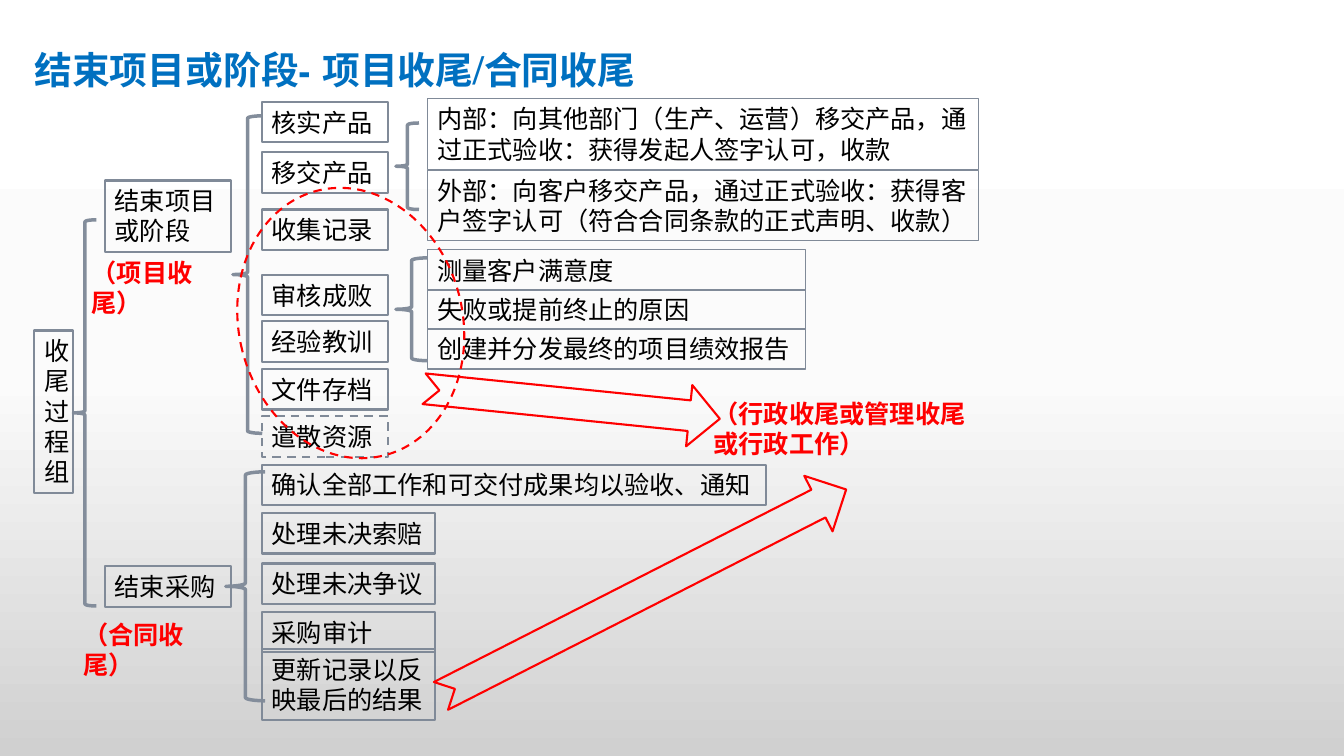
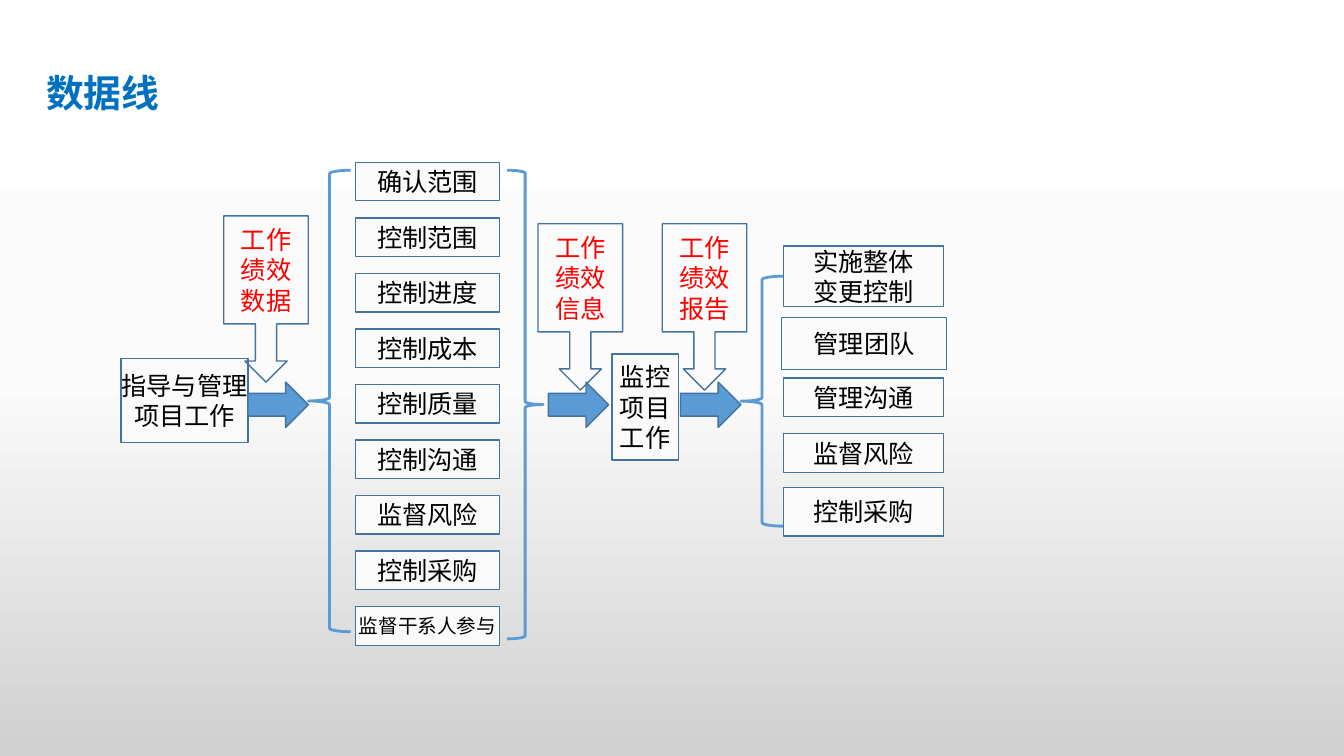
import copy

import pptx
import pptx.dml.color
import pptx.enum.dml
import pptx.enum.shapes
import pptx.enum.text
import pptx.oxml
import pptx.oxml.ns
import pptx.util

Cm = pptx.util.Cm
Pt = pptx.util.Pt
RGBColor = pptx.dml.color.RGBColor
SHAPE = pptx.enum.shapes.MSO_SHAPE
ALIGN = pptx.enum.text.PP_ALIGN
ANCHOR = pptx.enum.text.MSO_ANCHOR
GROW = pptx.enum.text.MSO_AUTO_SIZE.SHAPE_TO_FIT_TEXT
DASH = pptx.enum.dml.MSO_LINE.DASH

BLACK = RGBColor(0x00, 0x00, 0x00)
RED = RGBColor(0xFF, 0x00, 0x00)
TITLE_BLUE = RGBColor(0x00, 0x70, 0xC0)
BOX_GREY = RGBColor(0x80, 0x8A, 0x98)
BRACE_GREY = RGBColor(0x83, 0x8D, 0x9B)
FLOW_BLUE = RGBColor(0x5B, 0x9B, 0xD5)
EDGE_BLUE = RGBColor(0x43, 0x73, 0x9E)
PALE = RGBColor(0xFA, 0xFA, 0xFA)
BACKGROUND_STOPS = [
    (0, RGBColor(0xFF, 0xFF, 0xFF)),
    (0.5, RGBColor(0xFB, 0xFB, 0xFB)),
    (1, RGBColor(0xD0, 0xD0, 0xD0)),
]

TITLE_FONT = "TeX Gyre Schola"
CHINESE_FONT = "Noto Sans CJK SC"
FLOW_FONT = "Cabin"

# All places are (left, top, width, height) in centimetres.
CLOSING_TITLE = "结束项目或阶段- 项目收尾/合同收尾"
CLOSING_BRACES = [
    (1.85, 5.54, 0.58, 9.73),
    (5.87, 2.92, 0.74, 8),
    (9.98, 3.1, 0.58, 2.18),
    (9.98, 6.5, 0.79, 2.59),
    (5.69, 11.89, 0.99, 5.77),
]
GROUP_BOXES = [
    ("收尾过程组", (0.86, 8.33, 0.99, 4.09)),
    ("结束项目或阶段", (2.64, 4.55, 3.18, 1.8)),
    ("结束采购", (2.64, 14.27, 3.18, 1.02)),
]
STEP_LEFT, LINE_HEIGHT, TWO_LINE_HEIGHT = 6.6, 1.02, 1.78
PROJECT_STEPS = [
    ("核实产品", 2.57),
    ("移交产品", 3.84),
    ("收集记录", 5.28),
    ("审核成败", 6.93),
    ("经验教训", 8.1),
    ("文件存档", 9.3),
    ("遣散资源", 10.49),
]
OPTIONAL_STEP = "遣散资源"
PROCUREMENT_STEPS = [
    ("确认全部工作和可交付成果均以验收、通知", 11.71, 12.7, LINE_HEIGHT),
    ("处理未决索赔", 12.93, 4.37, LINE_HEIGHT),
    ("处理未决争议", 14.2, 4.37, LINE_HEIGHT),
    ("采购审计", 15.42, 4.37, LINE_HEIGHT),
    ("更新记录以反映最后的结果", 16.36, 4.37, TWO_LINE_HEIGHT),
]
DETAIL_LEFT = 10.77
HANDOVERS = [
    "内部：向其他部门（生产、运营）移交产品，通过正式验收：获得发起人签字认可，收款",
    "外部：向客户移交产品，通过正式验收：获得客户签字认可（符合合同条款的正式声明、收款）",
]
REVIEWS = ["测量客户满意度", "失败或提前终止的原因", "创建并分发最终的项目绩效报告"]
# texts, first top, step, width, height
DETAIL_LISTS = [
    (HANDOVERS, 2.49, 1.8, 13.89, TWO_LINE_HEIGHT),
    (REVIEWS, 6.3, 0.99, 9.53, LINE_HEIGHT),
]
NOTES = [
    ("（项目收尾）", (2.06, 6.35, 3.76, 1.02)),
    ("（合同收尾）", (1.85, 15.47, 3.78, 1.02)),
    ("（行政收尾或管理收尾或行政工作）", (17.73, 9.91, 6.93, 1.8)),
]
# preset, place, rotation, dash
RED_MARKS = [
    (SHAPE.NOTCHED_RIGHT_ARROW, (10.67, 9.4, 7.49, 1.55), 5.8, None),
    (SHAPE.NOTCHED_RIGHT_ARROW, (10.49, 14.15, 11.46, 1.57), 333, None),
    (SHAPE.OVAL, (6.02, 4.7, 5.64, 6.88), 345.9, DASH),
]

DATA_TITLE = "数据线"
CONTROLS = [
    "确认范围", "控制范围", "控制进度", "控制成本", "控制质量",
    "控制沟通", "监督风险", "控制采购", "监督干系人参与",
]
CONTROL_LEFT, CONTROL_TOP, CONTROL_STEP = 8.96, 4.09, 1.4
CONTROL_WIDTH, CONTROL_HEIGHT = 3.63, 0.97
PROCESS_BOXES = [
    ("指导与管理项目工作", (3.05, 9.04, 3.2, 2.11)),
    ("监控项目工作", (15.42, 8.92, 1.68, 2.67)),
    ("实施整体\n变更控制", (19.74, 6.2, 4.04, 1.52)),
    ("管理团队", (19.69, 8, 4.17, 1.32)),
    ("管理沟通", (19.74, 9.53, 4.04, 0.97)),
    ("监督风险", (19.74, 10.92, 4.04, 0.99)),
    ("控制采购", (19.74, 12.29, 4.04, 1.22)),
]
FLOW_BRACES = [
    (SHAPE.LEFT_BRACE, (7.77, 4.29, 1.07, 11.63)),
    (SHAPE.RIGHT_BRACE, (12.78, 4.29, 0.91, 11.81)),
    (SHAPE.LEFT_BRACE, (18.67, 6.96, 1.07, 6.3)),
]
# callout text, callout left, callout top, arrow left
DATA_FLOWS = [
    ("工作绩效数据", 5.64, 5.44, 6.25),
    ("工作绩效信息", 13.56, 5.64, 13.82),
    ("工作绩效报告", 16.69, 5.64, 17.15),
]
ARROW_TOP, ARROW_WIDTH, ARROW_HEIGHT = 9.63, 1.52, 1.14
CALLOUT_WIDTH, CALLOUT_HEIGHT = 2.13, 4.19


def lengths(place):
    return [Cm(value) for value in place]


def write(text_frame, text, font_name, size=18, color=BLACK, bold=False,
          align=ALIGN.LEFT, anchor=ANCHOR.TOP, spacing=None):
    """Fill the frame, one paragraph for each line of text."""
    text_frame.word_wrap = True
    text_frame.vertical_anchor = anchor
    for index, line in enumerate(text.split("\n")):
        paragraph = text_frame.add_paragraph() if index else text_frame.paragraphs[0]
        paragraph.alignment = align
        paragraph.line_spacing = spacing
        run = paragraph.add_run()
        run.text = line
        run.font.size = Pt(size)
        run.font.bold = bold
        run.font.color.rgb = color
        run.font.name = font_name
        latin = run.font._element.find(pptx.oxml.ns.qn("a:latin"))
        east_asian = pptx.oxml.parse_xml(
            f'<a:ea {pptx.oxml.ns.nsdecls("a")} typeface="{CHINESE_FONT}"/>')
        latin.addnext(east_asian)


def add_shape(slide, preset, place, line, weight, fill=None, dash=None):
    shape = slide.shapes.add_shape(preset, *lengths(place))
    shape.shadow.inherit = False
    if fill is None:
        shape.fill.background()
    else:
        shape.fill.solid()
        shape.fill.fore_color.rgb = fill
    shape.line.color.rgb = line
    shape.line.width = Pt(weight)
    if dash is not None:
        shape.line.dash_style = dash
    return shape


def add_outline_box(slide, text, place, weight=1.5, dash=None):
    box = add_shape(slide, SHAPE.RECTANGLE, place, BOX_GREY, weight, dash=dash)
    write(box.text_frame, text, CHINESE_FONT)
    box.text_frame.auto_size = GROW


def add_process_box(slide, text, place, size=18):
    box = add_shape(slide, SHAPE.RECTANGLE, place, EDGE_BLUE, 1, fill=PALE)
    frame = box.text_frame
    frame.margin_left = frame.margin_right = frame.margin_top = frame.margin_bottom = 0
    write(frame, text, FLOW_FONT, size, align=ALIGN.CENTER, anchor=ANCHOR.MIDDLE)


def add_titled_slide(presentation, text, left, top):
    slide = presentation.slides.add_slide(presentation.slide_layouts[5])
    title = slide.shapes.title
    title.left, title.top, title.width, title.height = lengths((left, top, 29.21, 3.68))
    write(title.text_frame, text, TITLE_FONT, 27, TITLE_BLUE, True,
          anchor=ANCHOR.MIDDLE, spacing=0.9)
    return slide


def set_background(master):
    fill = master.background.fill
    fill.gradient()
    fill.gradient_angle = 270
    stop_list = master.element.find(".//" + pptx.oxml.ns.qn("p:bg")).find(
        ".//" + pptx.oxml.ns.qn("a:gsLst"))
    stop_list.append(copy.deepcopy(stop_list[0]))
    for stop, (position, color) in zip(fill.gradient_stops, BACKGROUND_STOPS):
        stop.position = position
        stop.color.rgb = color


def build_closing_slide(presentation):
    slide = add_titled_slide(presentation, CLOSING_TITLE, 0.61, -0.03)
    for place in CLOSING_BRACES:
        add_shape(slide, SHAPE.LEFT_BRACE, place, BRACE_GREY, 2.5)
    for text, place in GROUP_BOXES:
        add_outline_box(slide, text, place)
    for text, top in PROJECT_STEPS:
        add_outline_box(slide, text, (STEP_LEFT, top, 3.18, LINE_HEIGHT),
                        dash=DASH if text == OPTIONAL_STEP else None)
    for text, top, width, height in PROCUREMENT_STEPS:
        add_outline_box(slide, text, (STEP_LEFT, top, width, height))
    for texts, first_top, step, width, height in DETAIL_LISTS:
        for index, text in enumerate(texts):
            place = (DETAIL_LEFT, first_top + index * step, width, height)
            add_outline_box(slide, text, place, weight=0.75)
    for text, place in NOTES:
        note = slide.shapes.add_textbox(*lengths(place))
        write(note.text_frame, text, CHINESE_FONT, color=RED, bold=True)
        note.text_frame.auto_size = GROW
    for preset, place, rotation, dash in RED_MARKS:
        mark = add_shape(slide, preset, place, RED, 1.5, dash=dash)
        mark.rotation = rotation


def build_data_slide(presentation):
    slide = add_titled_slide(presentation, DATA_TITLE, 0.91, 0.56)
    for preset, place in FLOW_BRACES:
        add_shape(slide, preset, place, FLOW_BLUE, 2)
    for text, place in PROCESS_BOXES:
        add_process_box(slide, text, place)
    for index, text in enumerate(CONTROLS):
        top = CONTROL_TOP + index * CONTROL_STEP
        add_process_box(slide, text, (CONTROL_LEFT, top, CONTROL_WIDTH, CONTROL_HEIGHT),
                        size=14 if len(text) > 4 else 18)
    for text, callout_left, callout_top, arrow_left in DATA_FLOWS:
        add_shape(slide, SHAPE.RIGHT_ARROW,
                  (arrow_left, ARROW_TOP, ARROW_WIDTH, ARROW_HEIGHT),
                  EDGE_BLUE, 1, fill=FLOW_BLUE)
        callout = add_shape(slide, SHAPE.DOWN_ARROW_CALLOUT,
                            (callout_left, callout_top, CALLOUT_WIDTH, CALLOUT_HEIGHT),
                            EDGE_BLUE, 1)
        write(callout.text_frame, text, FLOW_FONT, color=RED,
              align=ALIGN.CENTER, anchor=ANCHOR.MIDDLE)


def main():
    presentation = pptx.Presentation()
    presentation.slide_width, presentation.slide_height = Cm(33.87), Cm(19.05)
    set_background(presentation.slide_master)
    build_closing_slide(presentation)
    build_data_slide(presentation)
    presentation.save("out.pptx")


if __name__ == "__main__":
    main()
